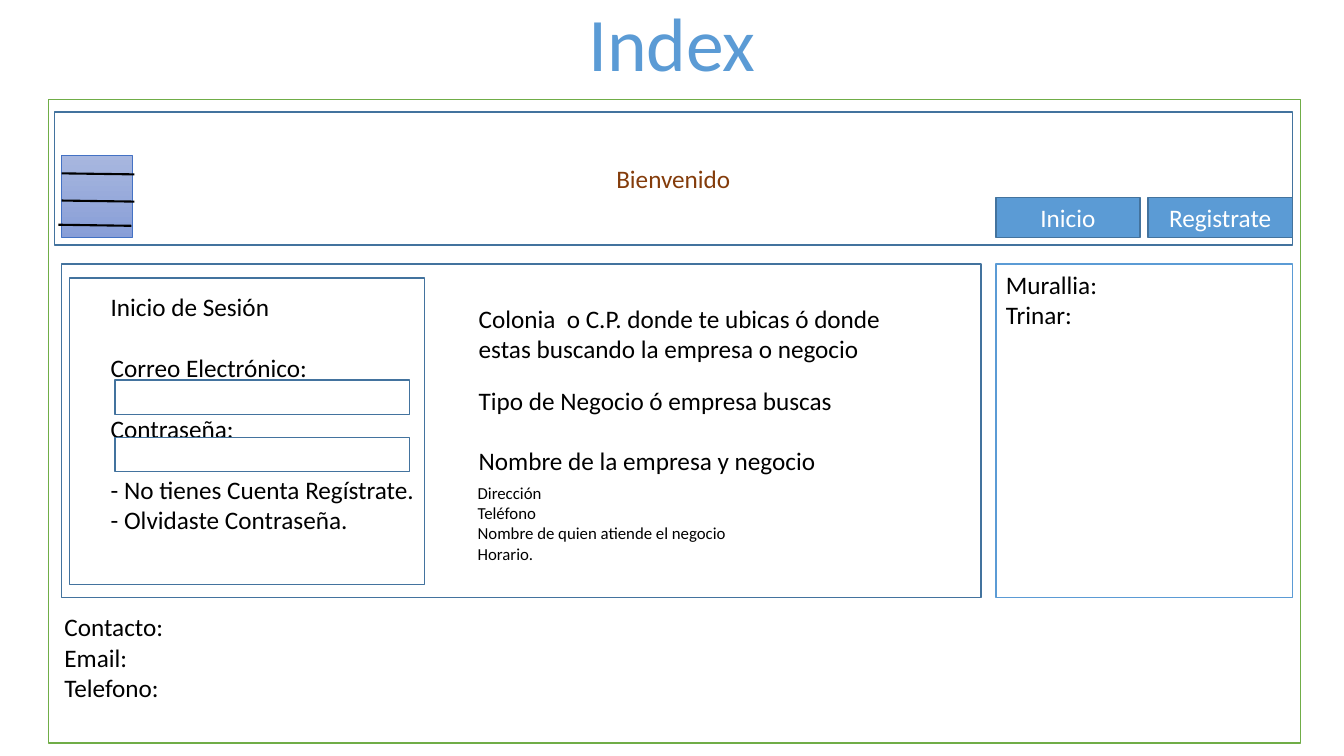
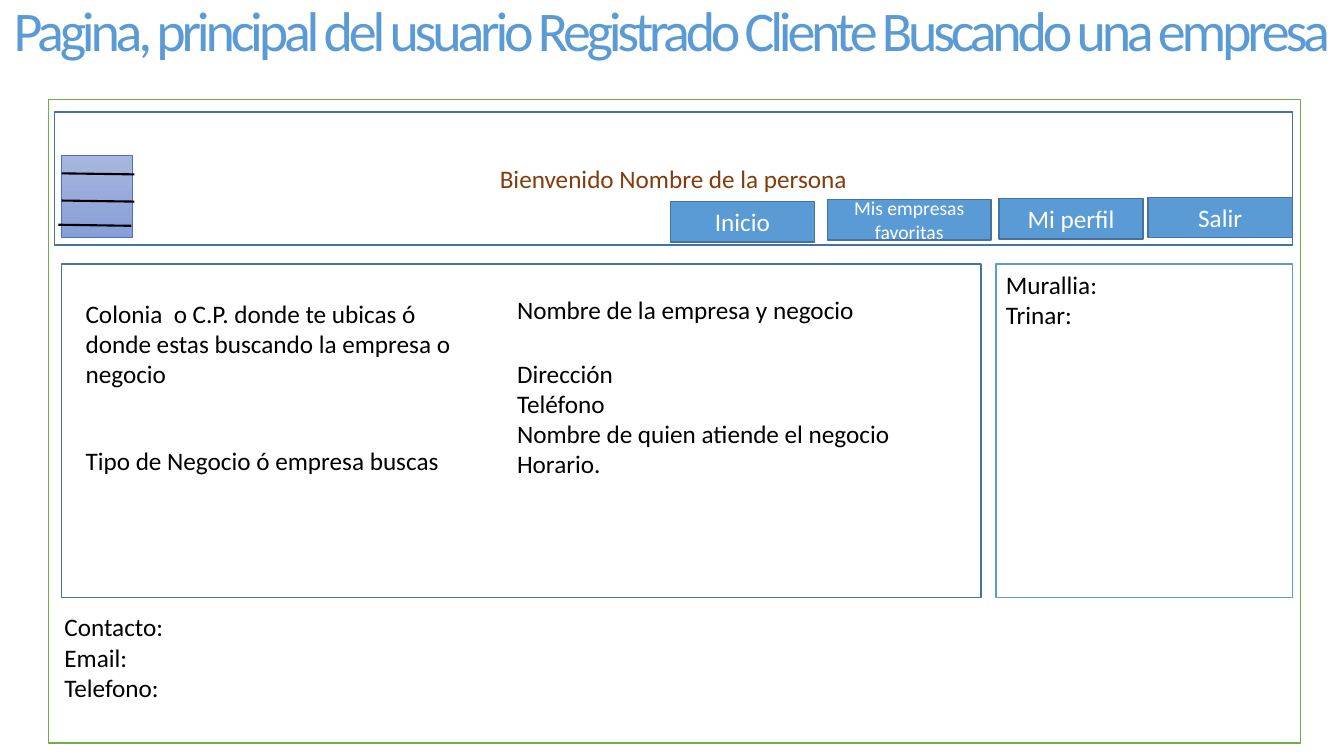
from pptx import Presentation
from pptx.dml.color import RGBColor
from pptx.enum.shapes import MSO_CONNECTOR, MSO_SHAPE as Preset
from pptx.enum.text import MSO_ANCHOR as Anchor, MSO_AUTO_SIZE, PP_ALIGN as Align
from pptx.oxml.ns import qn
from pptx.util import Inches, Pt
from lxml import etree

WIDTH, HEIGHT = Inches(13.33), Inches(7.5)
FONT, BLUE, EDGE, GREEN = "Calibri", "5B9BD5", "43739E", "70AD47"
BROWN, BLACK, WHITE = "843C0B", "000000", "FFFFFF"
MENU_EDGE, MENU_COLORS = "4472C4", ("A8B7DF", "889ED7")
LINE_GAP = 22

# Every box is (left, top, width, height) in percent of the slide.
FRAME = (3.6, 13.2, 93.15, 85.07)
HEADER = (4.05, 14.8, 92.1, 17.6)
CONTACT = (4.05, 80.27, 40.95, 17.47)
SOCIAL = (74.1, 34.93, 22.05, 44.13)
SEARCH = (4.58, 34.93, 68.4, 44.13)
MENU = (4.58, 20.53, 5.25, 10.93)
MENU_BARS = [(4.58, 22.93), (4.58, 26.53), (4.35, 29.73)]
BAR_RUN, BAR_DROP = 5.42, 0.14
BUTTON_WIDTH, BUTTON_HEIGHT = 10.72, 5.33
LOGIN = (5.18, 36.8, 26.4, 40.53)
LOGIN_TEXT = (7.5, 37.87, 29.18, 33.6)
FIELDS = [(8.55, top, 21.9, 4.53) for top in (50.27, 57.87)]

CONTACT_LINES = ["Contacto:", "Email:", "Telefono:"]
SOCIAL_LINES = ["Murallia:", "Trinar:"]
LOGIN_LINES = ["Inicio de Sesión", "Correo Electrónico:", "Contraseña:",
               "- No tienes Cuenta Regístrate.", "- Olvidaste Contraseña."]
LOGIN_GAPS = {1: LINE_GAP, 2: LINE_GAP, 3: LINE_GAP}
PLACE = ["Colonia  o C.P. donde te ubicas ó donde estas buscando la empresa o negocio"]
KIND = ["Tipo de Negocio ó empresa buscas"]
NAME = ["Nombre de la empresa y negocio"]
DETAILS = ["Dirección", "Teléfono", "Nombre de quien atiende el negocio", "Horario."]

PAGES = [
    {"title": "Index", "title_size": 54, "title_height": 13.47, "spacing": 0,
     "welcome": "Bienvenido", "login": True,
     "buttons": [("Inicio", 74.1, 26.13, BUTTON_WIDTH, 18),
                 ("Registrate", 85.43, 26.13, BUTTON_WIDTH, 18)],
     "texts": [(PLACE, (34.88, 39.47, 35.4, 9.47), 18),
               (KIND, (34.88, 50.27, 35.4, 5.33), 18),
               (NAME, (34.88, 58.27, 35.4, 5.33), 18),
               (DETAILS, (34.8, 63.2, 27.45, 14.8), 12)]},
    {"title": "Pagina, principal del usuario Registrado Cliente Buscando una empresa",
     "title_size": 40, "title_height": 10.27, "spacing": -300,
     "welcome": "Bienvenido Nombre de la persona", "login": False,
     "buttons": [("Inicio", 49.88, 26.67, BUTTON_WIDTH, 18),
                 ("Mis empresas favoritas", 61.58, 26.4, 12.15, 14),
                 ("Mi perfil", 74.33, 26.27, BUTTON_WIDTH, 18),
                 ("Salir", 85.43, 26.13, BUTTON_WIDTH, 18)],
     "texts": [(PLACE, (5.63, 38.8, 30.98, 13.47), 18),
               (KIND, (5.63, 58.27, 29.25, 5.33), 18),
               (NAME, (37.73, 38.27, 35.25, 5.33), 18),
               (DETAILS, (37.73, 46.67, 35.25, 21.6), 18)]},
]


def color(value):
    """Turn a hex string into a colour."""
    return RGBColor.from_string(value)


def across(share):
    """Turn a percentage of the slide width into a length."""
    return int(WIDTH * share / 100)


def down(share):
    """Turn a percentage of the slide height into a length."""
    return int(HEIGHT * share / 100)


def place(box):
    """Turn a box of percentages into lengths."""
    left, top, width, height = box
    return across(left), down(top), across(width), down(height)


def set_all(target, values):
    """Set each attribute named in a dict of format values."""
    for name, value in values.items():
        setattr(target, name, value)


def write(shape, lines, size=18, ink=BLACK, align=Align.LEFT, anchor=Anchor.TOP, gaps=None):
    """Fill a shape with formatted paragraphs."""
    frame = shape.text_frame
    frame.text = "\n".join(lines)
    set_all(frame, {"word_wrap": True, "auto_size": MSO_AUTO_SIZE.NONE,
                    "vertical_anchor": anchor})
    for index, paragraph in enumerate(frame.paragraphs):
        set_all(paragraph, {"alignment": align, "line_spacing": 1.0,
                            "space_before": Pt((gaps or {}).get(index, 0))})
        for run in paragraph.runs:
            set_all(run.font, {"name": FONT, "size": Pt(size)})
            run.font.color.rgb = color(ink)


def add_box(slide, box, fill=None, edge=EDGE, weight=1, preset=Preset.RECTANGLE):
    """Add an outlined shape with an optional plain fill."""
    shape = slide.shapes.add_shape(preset, *place(box))
    shape.shadow.inherit = False
    if fill:
        shape.fill.solid()
        shape.fill.fore_color.rgb = color(fill)
    else:
        shape.fill.background()
    shape.line.color.rgb = color(edge)
    shape.line.width = Pt(weight)
    return shape


def add_text(slide, lines, box, size=18, gaps=None):
    """Add a plain text box."""
    write(slide.shapes.add_textbox(*place(box)), lines, size, gaps=gaps)


def add_title(slide, page):
    """Move and format the title placeholder."""
    title = slide.shapes.title
    left, top, width, height = place((0, -1.2, 100, page["title_height"]))
    set_all(title, {"left": left, "top": top, "width": width, "height": height})
    write(title, [page["title"]], page["title_size"], BLUE, Align.CENTER)
    for run in title.text_frame.paragraphs[0].runs:
        run.font._element.set("spc", str(page["spacing"]))


def add_menu(slide):
    """Add the menu icon with its three bars."""
    icon = add_box(slide, MENU, edge=MENU_EDGE, weight=0.5)
    icon.fill.gradient()
    icon.fill.gradient_angle = 270
    for stop, shade in zip(icon.fill.gradient_stops, MENU_COLORS):
        stop.color.rgb = color(shade)
    for stop, position in zip(icon.fill.gradient_stops, (0, 1)):
        stop.position = position
    for left, top in MENU_BARS:
        bar = slide.shapes.add_connector(MSO_CONNECTOR.STRAIGHT, across(left), down(top),
                                         across(left + BAR_RUN), down(top + BAR_DROP))
        bar.line.color.rgb = color(BLACK)
        bar.line.width = Pt(1.5)
        etree.SubElement(bar._element.spPr, qn("a:effectLst"))


def add_login(slide):
    """Add the login panel with its two fields."""
    add_box(slide, LOGIN, preset=Preset.FLOWCHART_PROCESS)
    add_text(slide, LOGIN_LINES, LOGIN_TEXT, gaps=LOGIN_GAPS)
    for field in FIELDS:
        add_box(slide, field, WHITE)


def add_page(presentation, page):
    """Build one page mock-up."""
    slide = presentation.slides.add_slide(presentation.slide_layouts.get_by_name("Title Only"))
    add_title(slide, page)
    add_box(slide, FRAME, WHITE, GREEN)
    centred = {"align": Align.CENTER, "anchor": Anchor.MIDDLE}
    write(add_box(slide, HEADER), [page["welcome"]], ink=BROWN, **centred)
    for label, left, top, width, size in page["buttons"]:
        button = add_box(slide, (left, top, width, BUTTON_HEIGHT), BLUE)
        write(button, [label], size, WHITE, **centred)
    add_text(slide, CONTACT_LINES, CONTACT)
    write(add_box(slide, SOCIAL, WHITE, BLUE), SOCIAL_LINES)
    add_menu(slide)
    add_box(slide, SEARCH, preset=Preset.FLOWCHART_PROCESS)
    if page["login"]:
        add_login(slide)
    for lines, box, size in page["texts"]:
        add_text(slide, lines, box, size)


def main():
    """Build and save the presentation."""
    presentation = Presentation()
    set_all(presentation, {"slide_width": WIDTH, "slide_height": HEIGHT})
    for page in PAGES:
        add_page(presentation, page)
    presentation.save("out.pptx")


main()
